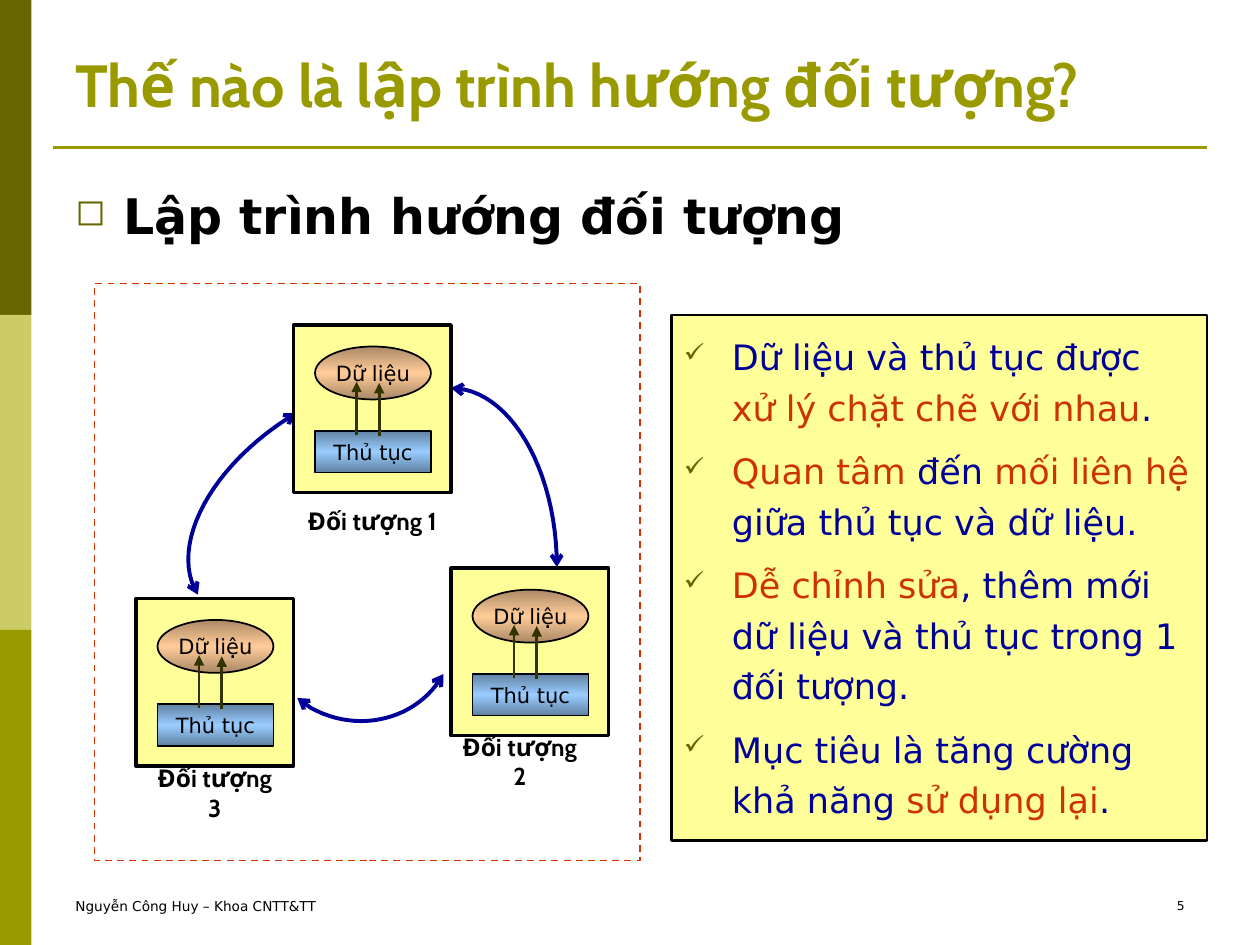
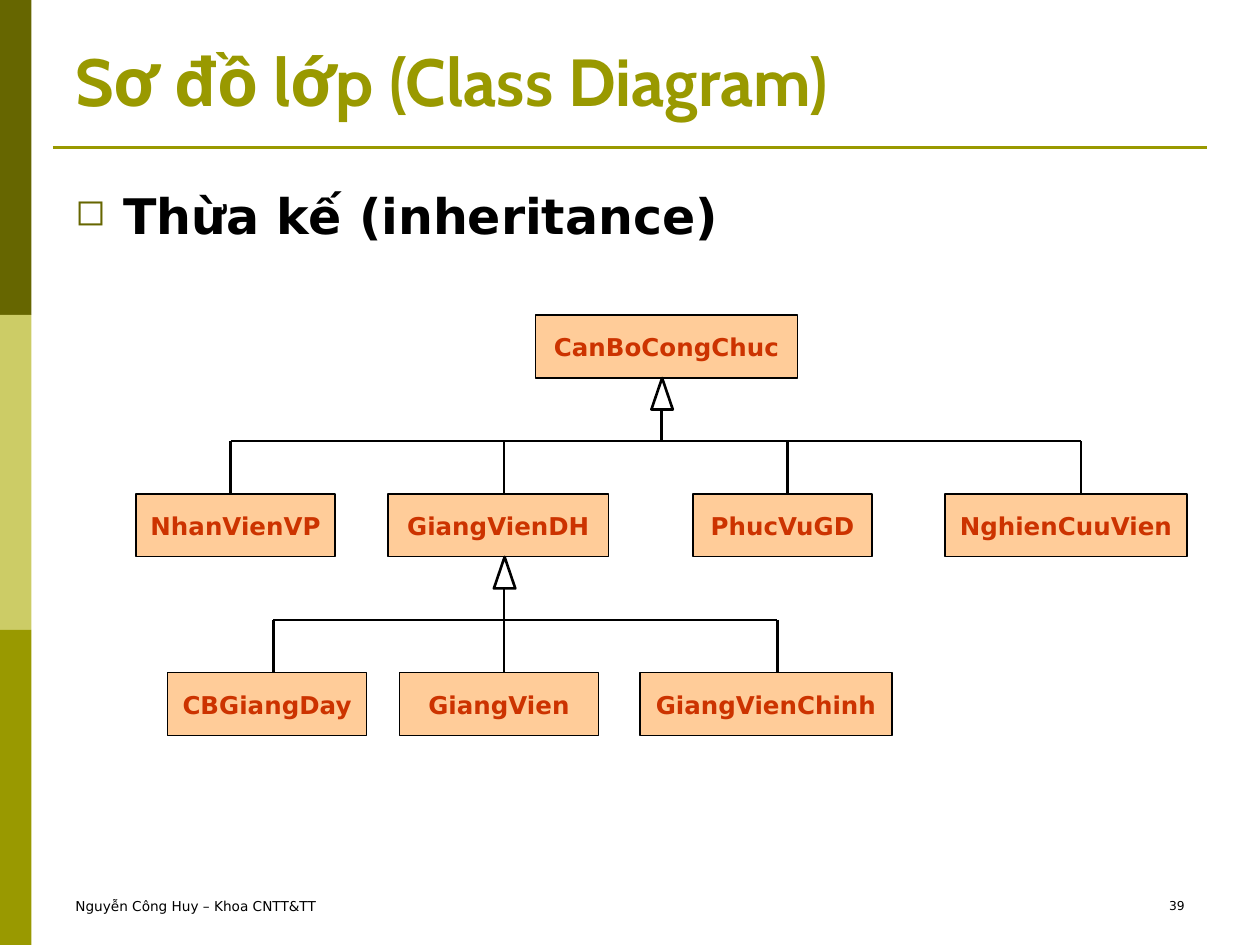
from copy import deepcopy

from lxml import etree
from pptx import Presentation
from pptx.dml.color import RGBColor
from pptx.enum import dml, shapes, text
from pptx.oxml.ns import qn
from pptx.util import Inches, Pt

OLIVE = RGBColor(0x99, 0x99, 0x00)
DARK_OLIVE = RGBColor(0x66, 0x66, 0x00)
LIGHT_OLIVE = RGBColor(0xCC, 0xCC, 0x66)
ARROW_OLIVE = RGBColor(0x33, 0x33, 0x00)
BLACK = RGBColor(0x00, 0x00, 0x00)
NAVY = RGBColor(0x00, 0x00, 0x99)
RED = RGBColor(0xCC, 0x33, 0x00)
YELLOW = RGBColor(0xFF, 0xFF, 0x99)
PEACH = RGBColor(0xFF, 0xCC, 0x99)
BROWN = RGBColor(0xAA, 0x88, 0x66)
SKY = RGBColor(0x99, 0xCC, 0xFF)
STEEL = RGBColor(0x61, 0x82, 0xA2)

HEAD_FONT, BODY_FONT = "Cabin", "DejaVu Sans"
FOOTER = "Nguyễn Công Huy – Khoa CNTT&TT"
LEFT, CENTER, RIGHT = text.PP_ALIGN.LEFT, text.PP_ALIGN.CENTER, text.PP_ALIGN.RIGHT
TOP, MIDDLE, BOTTOM = text.MSO_ANCHOR.TOP, text.MSO_ANCHOR.MIDDLE, text.MSO_ANCHOR.BOTTOM
RECT = shapes.MSO_SHAPE.RECTANGLE
OVAL = shapes.MSO_SHAPE.OVAL
TRIANGLE = shapes.MSO_SHAPE.ISOSCELES_TRIANGLE

# label, card left and top, label left and top
OBJECTS = [
    ("Đối tượng 1", (2.33, 2.58), (2.33, 3.92)),
    ("Đối tượng 3", (1.08, 4.75), (1.08, 6.08)),
    ("Đối tượng 2", (3.58, 4.51), (3.5, 5.83)),
]
# start point, then Bézier pieces (two control points and an end point)
MESSAGES = [
    ((3.58, 3.08), [((4.04, 3.08), (4.42, 3.72), (4.42, 4.5))]),
    ((3.52, 5.35), [((3.32, 5.71), (2.85, 5.83), (2.47, 5.62)),
                    ((2.43, 5.59), (2.39, 5.57), (2.36, 5.54))]),
    ((1.57, 4.72), [((1.33, 4.33), (1.68, 3.68), (2.35, 3.28))]),
]
FEATURES = [
    [("Dữ liệu và thủ tục được ", NAVY), ("xử lý chặt chẽ với nhau", RED), (".", NAVY)],
    [("Quan tâm", RED), (" đến ", NAVY), ("mối liên hệ", RED),
     (" giữa thủ tục và dữ liệu.", NAVY)],
    [("Dễ chỉnh sửa", RED), (", thêm mới dữ liệu và thủ tục trong 1 đối tượng.", NAVY)],
    [("Mục tiêu là tăng cường khả năng ", NAVY), ("sử dụng lại", RED), (".", NAVY)],
]

ROOT_CLASS = ("CanBoCongChuc", 4.25, 2.08)
# parent x, parent bottom, children (name, left, width, branch x)
BRANCHES = [
    (5.25, 3.0, [("NhanVienVP", 1.08, 1.58, 1.83), ("GiangVienDH", 3.08, 1.75, 4.0),
                 ("PhucVuGD", 5.5, 1.42, 6.25), ("NghienCuuVien", 7.5, 1.92, 8.58)]),
    (4.0, 4.42, [("CBGiangDay", 1.33, 1.58, 2.17), ("GiangVien", 3.17, 1.58, 4.0),
                 ("GiangVienChinh", 5.08, 2.0, 6.17)]),
]


def add_bullet(p, char):
    p.line_spacing = p.line_spacing or 1.0
    pPr = p._p.get_or_add_pPr()
    pPr.set("marL", str(Inches(0.38)))
    pPr.set("indent", str(-Inches(0.38)))
    color = etree.SubElement(pPr, qn("a:buClr"))
    etree.SubElement(color, qn("a:srgbClr"), val=str(DARK_OLIVE))
    etree.SubElement(pPr, qn("a:buSzPct"), val="75000")
    etree.SubElement(pPr, qn("a:buChar"), char=char)


def write(sp, paragraphs, size, font=BODY_FONT, bold=False, align=LEFT, anchor=TOP,
          wrap=True, inset=0.05, bullet=None, spacing=None, before=0):
    """Fill a shape with paragraphs, each a list of (text, colour) runs."""
    tf = sp.text_frame
    tf.word_wrap = wrap
    tf.vertical_anchor = anchor
    tf.margin_left = tf.margin_right = Inches(0.1)
    tf.margin_top = tf.margin_bottom = Inches(inset)
    for i, runs in enumerate(paragraphs):
        p = tf.add_paragraph() if i else tf.paragraphs[0]
        p.alignment = align
        if spacing:
            p.line_spacing = spacing
        if i:
            p.space_before = Pt(before)
        if bullet:
            add_bullet(p, bullet)
        for words, color in runs:
            r = p.add_run()
            r.text = words
            r.font.size, r.font.name, r.font.bold = Pt(size), font, bold
            r.font.color.rgb = color


def add_label(s, box, words, size, color=BLACK, **style):
    write(s.shapes.add_textbox(*map(Inches, box)), [[(words, color)]], size, **style)


def add_block(s, kind, box, fill=None, line=None, width=1.0):
    """Draw a preset shape; a (edge, middle) fill becomes a vertical gradient."""
    sp = s.shapes.add_shape(kind, *map(Inches, box))
    sp.shadow.inherit = False
    if fill is None:
        sp.fill.background()
    elif isinstance(fill, RGBColor):
        sp.fill.solid()
        sp.fill.fore_color.rgb = fill
    else:
        edge, middle = fill
        sp.fill.gradient()
        sp.fill.gradient_angle = 90
        stop_list = sp._element.spPr.find(qn("a:gradFill")).find(qn("a:gsLst"))
        stop_list.append(deepcopy(stop_list[0]))
        for stop, place, color in zip(sp.fill.gradient_stops, (0, 0.5, 1), (edge, middle, edge)):
            stop.position = place
            stop.color.rgb = color
    if line is None:
        sp.line.fill.background()
    else:
        sp.line.color.rgb = line
        sp.line.width = Pt(width)
    return sp


def add_line(s, start, end, color=BLACK, width=1.5, tail=None):
    c = s.shapes.add_connector(shapes.MSO_CONNECTOR.STRAIGHT, *map(Inches, (*start, *end)))
    c.line.color.rgb = color
    c.line.width = Pt(width)
    if tail:
        etree.SubElement(c.line._get_or_add_ln(), qn("a:tailEnd"), type=tail)
    etree.SubElement(c._element.spPr, qn("a:effectLst"))


def bezier_points(start, pieces, steps=24):
    points = [start]
    for c1, c2, end in pieces:
        p0 = points[-1]
        for i in range(1, steps + 1):
            t = i / steps
            weights = ((1 - t) ** 3, 3 * t * (1 - t) ** 2, 3 * t * t * (1 - t), t ** 3)
            points.append(tuple(sum(w * q[axis] for w, q in zip(weights, (p0, c1, c2, end)))
                                for axis in (0, 1)))
    return points


def add_message_arrow(s, start, pieces):
    points = [(Inches(x), Inches(y)) for x, y in bezier_points(start, pieces)]
    builder = s.shapes.build_freeform(*points[0])
    builder.add_line_segments(points[1:], close=False)
    sp = builder.convert_to_shape()
    sp.shadow.inherit = False
    sp.fill.background()
    sp.line.color.rgb = NAVY
    sp.line.width = Pt(2.25)
    for end in ("a:headEnd", "a:tailEnd"):
        etree.SubElement(sp.line._get_or_add_ln(), qn(end), type="arrow")


def add_object_card(s, x, y):
    add_block(s, RECT, (x, y, 1.25, 1.33), YELLOW, BLACK, 2)
    parts = [
        (OVAL, "Dữ liệu", 0.17, 0.42, (BROWN, PEACH)),
        (RECT, "Thủ tục", 0.84, 0.33, (STEEL, SKY)),
    ]
    for kind, words, dy, height, fill in parts:
        sp = add_block(s, kind, (x + 0.17, y + dy, 0.92, height), fill, BLACK)
        write(sp, [[(words, BLACK)]], 12, align=CENTER, anchor=MIDDLE, wrap=False)
    for dx, dy in ((0.5, 0.87), (0.68, 0.88)):
        add_line(s, (x + dx, y + dy), (x + dx, y + dy - 0.42), ARROW_OLIVE, tail="triangle")


def add_class_box(s, name, left, top, width):
    sp = add_block(s, RECT, (left, top, width, 0.5), PEACH, BLACK, 0.75)
    write(sp, [[(name, RED)]], 14, bold=True, align=CENTER, anchor=MIDDLE,
          wrap=False, inset=0.2)


def add_branch(s, parent_x, top, children):
    bus, child_top = top + 0.5, top + 0.92
    add_block(s, TRIANGLE, (parent_x - 0.08, top, 0.17, 0.25), None, BLACK, 1.5)
    add_line(s, (parent_x, top + 0.25), (parent_x, bus))
    add_line(s, (children[0][3], bus), (children[-1][3], bus))
    for name, left, width, x in children:
        add_line(s, (x, bus), (x, child_top))
        add_class_box(s, name, left, child_top, width)


def add_base_slide(prs, title, title_size, heading, number):
    s = prs.slides.add_slide(prs.slide_layouts[6])
    for i, color in enumerate((DARK_OLIVE, LIGHT_OLIVE, OLIVE)):
        add_block(s, RECT, (0, 2.5 * i, 0.25, 2.5), color)
    add_line(s, (0.42, 1.17), (9.58, 1.17), OLIVE)
    add_label(s, (0.5, 7.08, 3.17, 0.25), FOOTER, 7.8)
    add_label(s, (7.17, 7.08, 2.33, 0.25), str(number), 7, align=RIGHT)
    add_label(s, (0.5, 0.25, 9.33, 0.75), title, title_size, OLIVE,
              font=HEAD_FONT, bold=True, anchor=BOTTOM)
    add_label(s, (0.5, 1.42, 9, 0.58), heading, 28, bold=True, bullet="◻")
    return s


def add_objects_slide(prs):
    s = add_base_slide(prs, "Thế nào là lập trình hướng đối tượng?", 34,
                       "Lập trình hướng đối tượng", 5)
    frame = add_block(s, RECT, (0.75, 2.25, 4.33, 4.58), None, RED)
    frame.line.dash_style = dml.MSO_LINE.DASH
    for start, pieces in MESSAGES:
        add_message_arrow(s, start, pieces)
    for name, card, label in OBJECTS:
        add_object_card(s, *card)
        add_label(s, (*label, 1.25, 0.42), name, 14, font=HEAD_FONT, bold=True,
                  align=CENTER, anchor=MIDDLE, wrap=False)
    panel = add_block(s, RECT, (5.33, 2.5, 4.25, 4.17), YELLOW, BLACK, 1.5)
    write(panel, FEATURES, 20, inset=0.1, bullet="✓", spacing=1.2, before=7.5)


def add_inheritance_slide(prs):
    s = add_base_slide(prs, "Sơ đồ lớp (Class Diagram)", 38, "Thừa kế (inheritance)", 39)
    name, left, width = ROOT_CLASS
    add_class_box(s, name, left, 2.5, width)
    for branch in BRANCHES:
        add_branch(s, *branch)


def main():
    prs = Presentation()
    prs.slide_width, prs.slide_height = Inches(10), Inches(7.5)
    add_objects_slide(prs)
    add_inheritance_slide(prs)
    prs.save("out.pptx")


if __name__ == "__main__":
    main()
